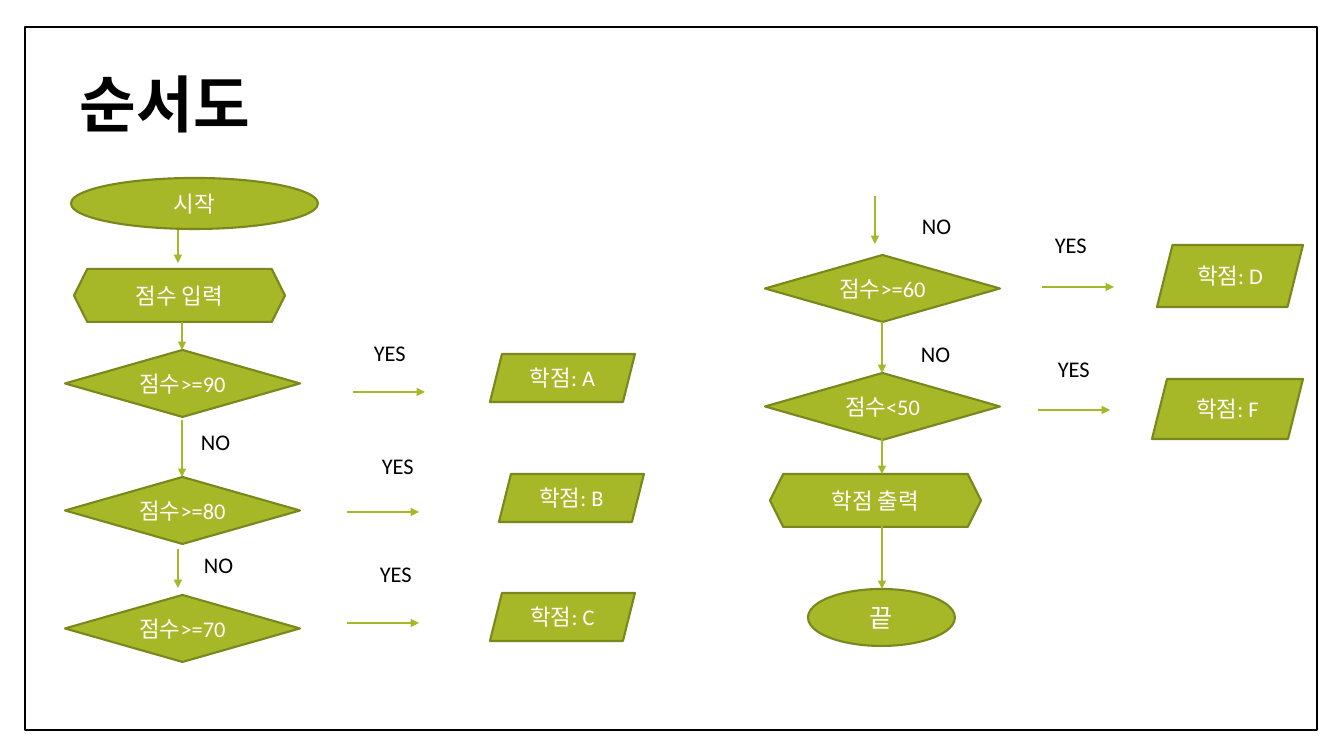
"""Build the grading flowchart slide."""
from lxml import etree
from pptx import Presentation, util as u
from pptx.dml.color import RGBColor
from pptx.enum import shapes, text
from pptx.oxml.ns import qn

KIND = shapes.MSO_SHAPE
THEME = dict(font="Calibri", fill="A6B727", edge="7B871D", ink="000000",
             paper="FFFFFF", title=44, end=18, body=16)
SCALE = 914400 / 100.8

TITLE = ("순서도", 70, 33, 1089, 149)
FRAME = (25, 27, 1292, 703)
ENDS = [("시작", 71, 178, 247, 51, "body"), ("끝", 808, 589, 147, 57, "end")]
STEPS = [("점수 입력", 74, 269), ("학점 출력", 770, 474)]
TESTS = [(65, [(">=90", 350), (">=80", 477), (">=70", 595)]),
         (765, [(">=60", 255), ("<50", 373)])]
GRADES = [("A", 490, 354, 145, 48), ("B", 499, 474, 145, 48),
          ("C", 490, 593, 145, 48), ("D", 1157, 245, 146, 62),
          ("F", 1152, 379, 151, 60)]
LABELS = {"YES": (97, [(364, 334), (372, 447), (370, 555),
                       (1045, 226), (1048, 350)]),
          "NO": (78, [(191, 423), (194, 546), (912, 207), (911, 335)])}
ACROSS = [(353, 392), (347, 512), (347, 623), (1042, 287), (1038, 410)]
DOWN = [(178, 230, 263), (182, 322, 350), (182, 420, 477), (178, 549, 588),
        (875, 196, 244), (882, 322, 373), (882, 439, 474), (882, 526, 589)]


def px(*vals):
    return [round(v * SCALE) for v in vals]


def rgb(name):
    return RGBColor.from_string(THEME[name])


def style(para, size, color, bold=False):
    font = para.font
    font.name, font.size, font.bold = THEME["font"], u.Pt(THEME[size]), bold
    font.color.rgb = rgb(color)


def block(kind, box, fill, edge, width):
    shape = slide.shapes.add_shape(kind, *px(*box))
    shape.shadow.inherit = False
    shape.fill.solid()
    shape.fill.fore_color.rgb = rgb(fill)
    shape.line.color.rgb = rgb(edge)
    shape.line.width = u.Pt(width)
    return shape


def node(kind, words, box, size="body"):
    frame = block(kind, box, "fill", "edge", 1.5).text_frame
    frame.vertical_anchor = text.MSO_ANCHOR.MIDDLE
    para = frame.paragraphs[0]
    para.text, para.alignment = words, text.PP_ALIGN.CENTER
    style(para, size, "paper")


def label(words, box, size="body", bold=False):
    frame = slide.shapes.add_textbox(*px(*box)).text_frame
    frame.word_wrap = True
    para = frame.paragraphs[0]
    para.text = words
    style(para, size, "ink", bold)
    return frame


def arrow(*ends):
    line = slide.shapes.add_connector(shapes.MSO_CONNECTOR.STRAIGHT, *px(*ends))
    line.line.color.rgb = rgb("fill")
    line.line.width = u.Pt(0.79)
    etree.SubElement(line.line._get_or_add_ln(), qn("a:tailEnd"), type="triangle")
    etree.SubElement(line._element.spPr, qn("a:effectLst"))


deck = Presentation()
deck.slide_width, deck.slide_height = px(1344, 756)
slide = deck.slides.add_slide(deck.slide_layouts[6])

block(KIND.RECTANGLE, FRAME, "paper", "ink", 1)
for words, *box, size in ENDS:
    node(KIND.OVAL, words, box, size)
for words, x, y in STEPS:
    node(KIND.HEXAGON, words, (x, y, 211, 53))
for x, tests in TESTS:
    for rule, y in tests:
        node(KIND.DIAMOND, "점수" + rule, (x, y, 235, 67))
for grade, *box in GRADES:
    node(KIND.PARALLELOGRAM, "학점: " + grade, box)
for words, (wide, spots) in LABELS.items():
    for x, y in spots:
        label(words, (x, y, wide, 37))
for x, y in ACROSS:
    arrow(x, y, x + 72, y)
for x, top, end in DOWN:
    arrow(x, top, x, end)

head = label(TITLE[0], TITLE[1:], "title", True)
head.vertical_anchor = text.MSO_ANCHOR.MIDDLE
head.paragraphs[0].line_spacing = 0.9

deck.save("out.pptx")
